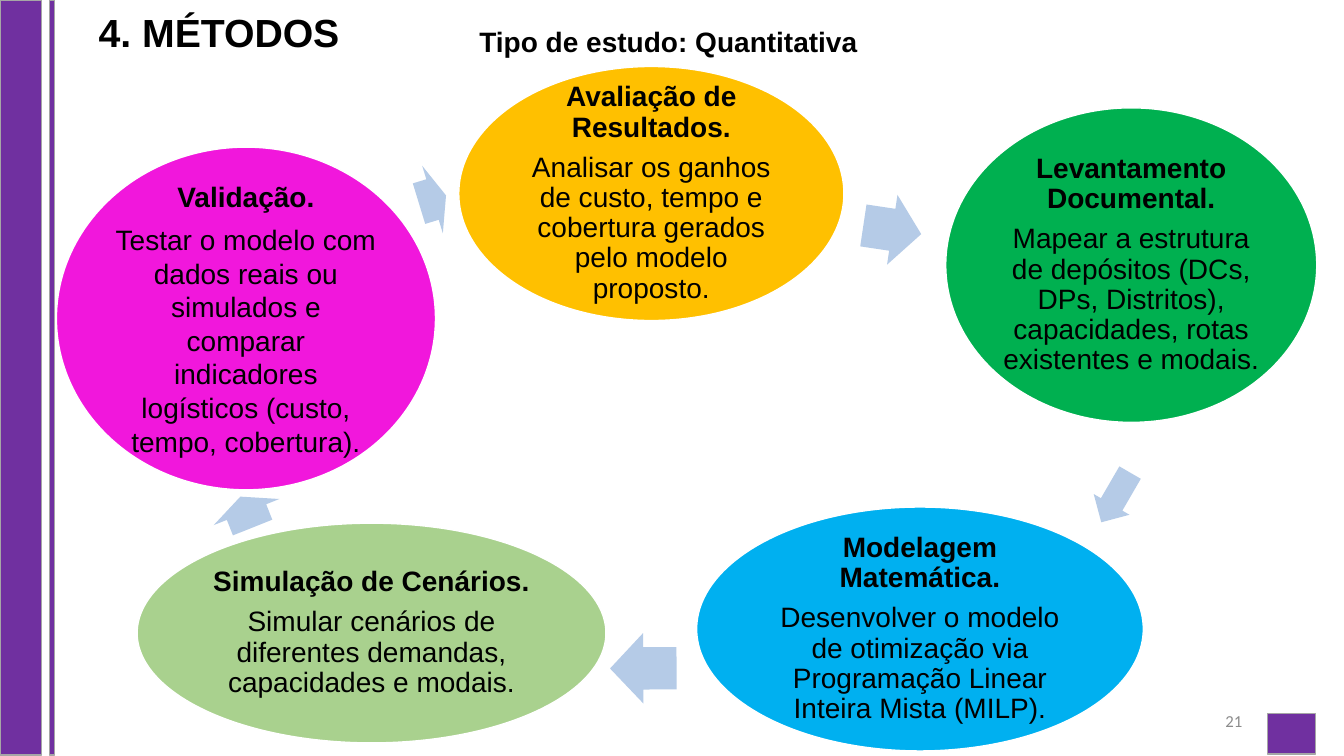
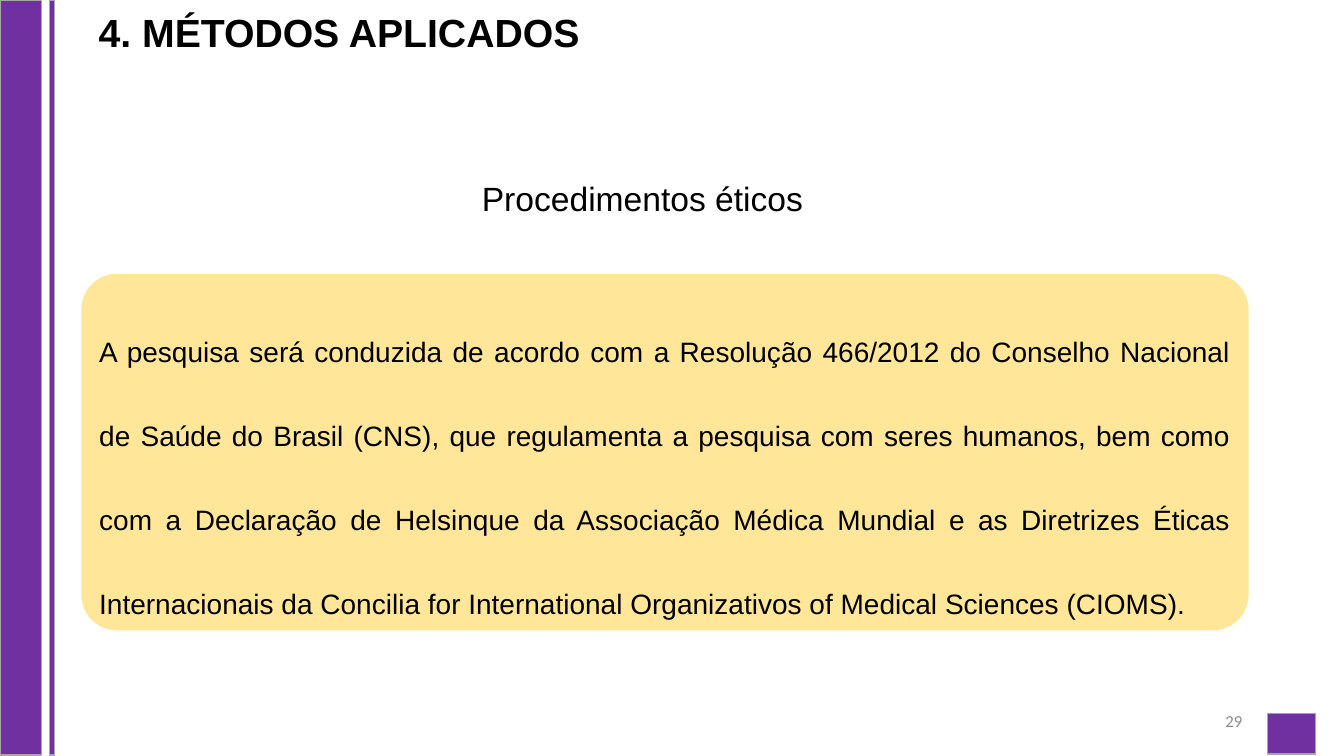
"""Build two slides on research methods, with a cycle of steps and an ethics note."""
from dataclasses import dataclass
from typing import NamedTuple, Optional

from pptx import Presentation
from pptx.dml.color import RGBColor
from pptx.enum.shapes import MSO_SHAPE
from pptx.enum.text import MSO_ANCHOR, PP_ALIGN
from pptx.shapes.autoshape import Shape
from pptx.slide import Slide
from pptx.text.text import TextFrame
from pptx.util import Inches, Pt


@dataclass(frozen=True)
class Theme:
    font: str = "Arial"
    small: str = "Calibri"
    ink: str = "000000"
    white: str = "FFFFFF"
    purple: str = "7030A0"
    edge: str = "A6A6A6"
    grey: str = "8C8C8C"
    arrow: str = "B5CBE7"
    cream: str = "FFE699"
    gold: str = "FFC000"
    green: str = "00B050"
    blue: str = "00B0F0"
    sage: str = "A9D18E"
    pink: str = "F117DC"
    title: int = 28
    head: int = 24
    body: int = 20
    page: int = 12


THEME = Theme()


class Box(NamedTuple):
    left: float
    top: float
    width: float
    height: float


class Para(NamedTuple):
    text: str
    size: int = THEME.body
    bold: bool = False
    align: PP_ALIGN = PP_ALIGN.CENTER
    lines: float = 1.0
    after: float = 0
    font: str = THEME.font
    color: str = THEME.ink


class Step(NamedTuple):
    box: Box
    fill: str
    head: str
    body: str
    arrow: Box
    turn: float
    lines: float = 0.9


BANDS = (Box(0, 0, 0.41, 7.49), Box(12.57, 7.08, 0.48, 0.4), Box(0.49, 0, 0.05, 7.49))

STEPS = (
    Step(Box(4.55, 0.66, 3.82, 2.52), THEME.gold, "Avaliação de Resultados.",
         "Analisar os ganhos de custo, tempo e cobertura gerados pelo modelo proposto.",
         Box(8.56, 1.93, 0.58, 0.7), 8.5),
    Step(Box(9.38, 1.07, 3.68, 3.12), THEME.green, "Levantamento Documental.",
         "Mapear a estrutura de depósitos (DCs, DPs, Distritos), capacidades, "
         "rotas existentes e modais.",
         Box(10.78, 4.73, 0.57, 0.41), 120.1),
    Step(Box(6.91, 5.03, 4.43, 2.42), THEME.blue, "Modelagem Matemática.",
         "Desenvolver o modelo de otimização via Programação Linear Inteira Mista (MILP).",
         Box(6.05, 6.28, 0.66, 0.7), 179.7),
    Step(Box(1.36, 5.19, 4.65, 2.18), THEME.sage, "Simulação de Cenários.",
         "Simular cenários de diferentes demandas, capacidades e modais.",
         Box(2.28, 4.73, 0.33, 0.7), 248.3),
    Step(Box(0.56, 1.46, 3.76, 3.4), THEME.pink, "Validação.",
         "Testar o modelo com dados reais ou simulados e comparar indicadores "
         "logísticos (custo, tempo, cobertura).",
         Box(4.15, 1.63, 0.28, 0.7), 343, 1.0),
)

ETHICS = (
    "A pesquisa será conduzida de acordo com a Resolução 466/2012 do Conselho Nacional "
    "de Saúde do Brasil (CNS), que regulamenta a pesquisa com seres humanos, bem como com "
    "a Declaração de Helsinque da Associação Médica Mundial e as Diretrizes Éticas "
    "Internacionais da Concilia for International Organizativos of Medical Sciences (CIOMS)."
)


def place(box: Box) -> list[Inches]:
    return [Inches(side) for side in box]


def write(frame: TextFrame, paras: list[Para], anchor: MSO_ANCHOR) -> None:
    frame.word_wrap = True
    frame.vertical_anchor = anchor
    for i, para in enumerate(paras):
        line = frame.add_paragraph() if i else frame.paragraphs[0]
        line.alignment = para.align
        line.line_spacing = para.lines
        line.space_after = Pt(para.after)
        run = line.add_run()
        run.text = para.text
        run.font.name = para.font
        run.font.size = Pt(para.size)
        run.font.bold = para.bold
        run.font.color.rgb = RGBColor.from_string(para.color)


def label(slide: Slide, box: Box, para: Para, anchor: MSO_ANCHOR = MSO_ANCHOR.TOP) -> None:
    write(slide.shapes.add_textbox(*place(box)).text_frame, [para], anchor)


def draw(slide: Slide, kind: MSO_SHAPE, box: Box, fill: str,
         line: Optional[str] = None) -> Shape:
    shape = slide.shapes.add_shape(kind, *place(box))
    shape.shadow.inherit = False
    shape.fill.solid()
    shape.fill.fore_color.rgb = RGBColor.from_string(fill)
    if line:
        shape.line.color.rgb = RGBColor.from_string(line)
        shape.line.width = Pt(1)
    else:
        shape.line.fill.background()
    return shape


def fill_text(shape: Shape, inset: float, paras: list[Para]) -> None:
    frame = shape.text_frame
    frame.margin_left = frame.margin_right = Inches(inset)
    frame.margin_top = frame.margin_bottom = Inches(inset)
    write(frame, paras, MSO_ANCHOR.MIDDLE)


def draw_step(slide: Slide, step: Step) -> None:
    oval = draw(slide, MSO_SHAPE.OVAL, step.box, step.fill, THEME.white)
    fill_text(oval, 0.03, [
        Para(step.head, bold=True, lines=step.lines, after=7),
        Para(step.body, lines=step.lines, after=7),
    ])
    arrow = draw(slide, MSO_SHAPE.RIGHT_ARROW, step.arrow, THEME.arrow)
    arrow.adjustments[0] = 0.6
    arrow.adjustments[1] = 0.5
    arrow.rotation = step.turn


def draw_frame(slide: Slide, title: str, page: str) -> None:
    for band in BANDS:
        draw(slide, MSO_SHAPE.RECTANGLE, band, THEME.purple, THEME.edge)
    label(slide, Box(9.42, 6.95, 3, 0.4),
          Para(page, THEME.page, align=PP_ALIGN.RIGHT, font=THEME.small, color=THEME.grey),
          MSO_ANCHOR.MIDDLE)
    label(slide, Box(0.88, 0.09, 6.85, 0.83),
          Para(title, THEME.title, True, PP_ALIGN.LEFT, 0.9))


def draw_cycle(slide: Slide) -> None:
    for step in STEPS:
        draw_step(slide, step)
    draw_frame(slide, "4. MÉTODOS", "21")
    label(slide, Box(1.44, 0.17, 10.38, 0.91),
          Para("Tipo de estudo: Quantitativa", bold=True, lines=1.07, after=8))


def draw_ethics(slide: Slide) -> None:
    draw_frame(slide, "4. MÉTODOS APLICADOS", "29")
    label(slide, Box(4.68, 1.72, 3.41, 0.5),
          Para("Procedimentos éticos", THEME.head, align=PP_ALIGN.JUSTIFY))
    panel = draw(slide, MSO_SHAPE.ROUNDED_RECTANGLE, Box(0.8, 2.71, 11.59, 3.55),
                 THEME.cream, THEME.white)
    panel.adjustments[0] = 0.1
    fill_text(panel, 0.08, [Para(ETHICS, align=PP_ALIGN.JUSTIFY, lines=2.5, after=7)])


def main() -> None:
    deck = Presentation()
    deck.slide_width = Inches(13.33)
    deck.slide_height = Inches(7.5)
    for paint in (draw_cycle, draw_ethics):
        paint(deck.slides.add_slide(deck.slide_layouts[6]))
    deck.save("out.pptx")


if __name__ == "__main__":
    main()
